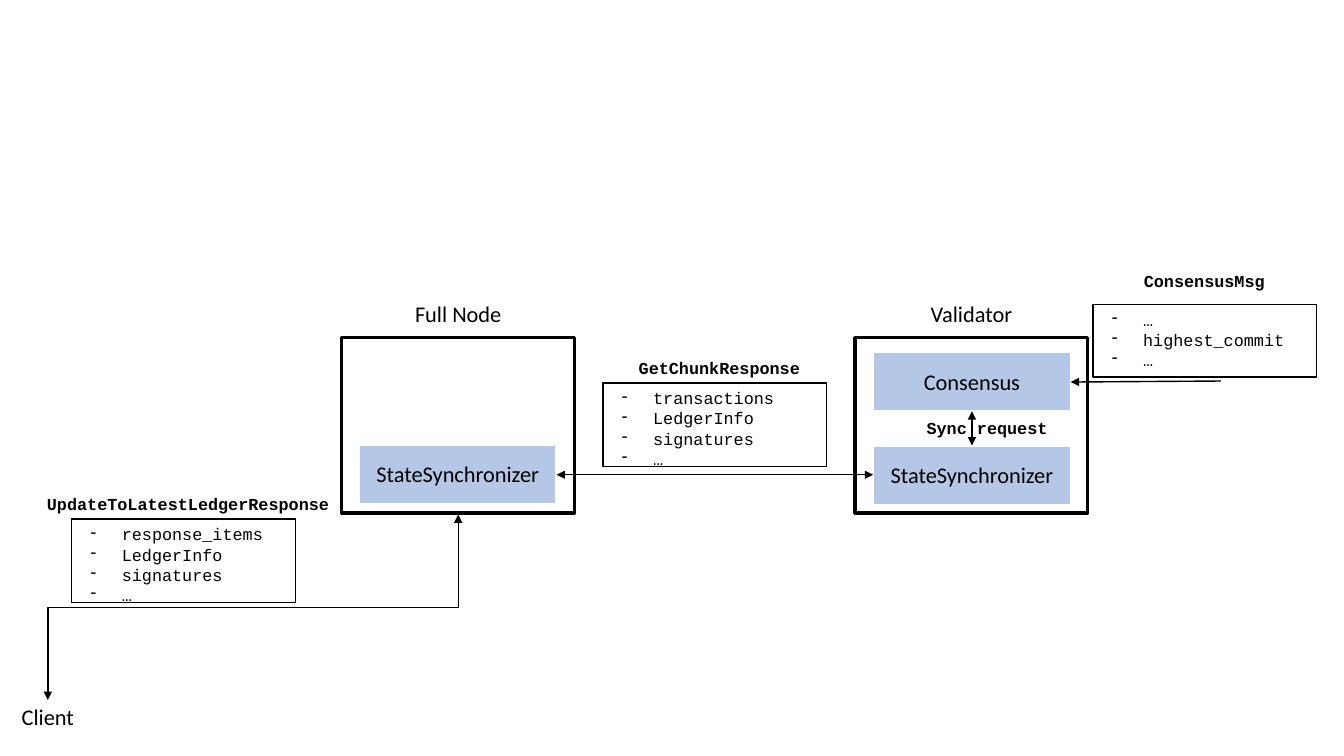
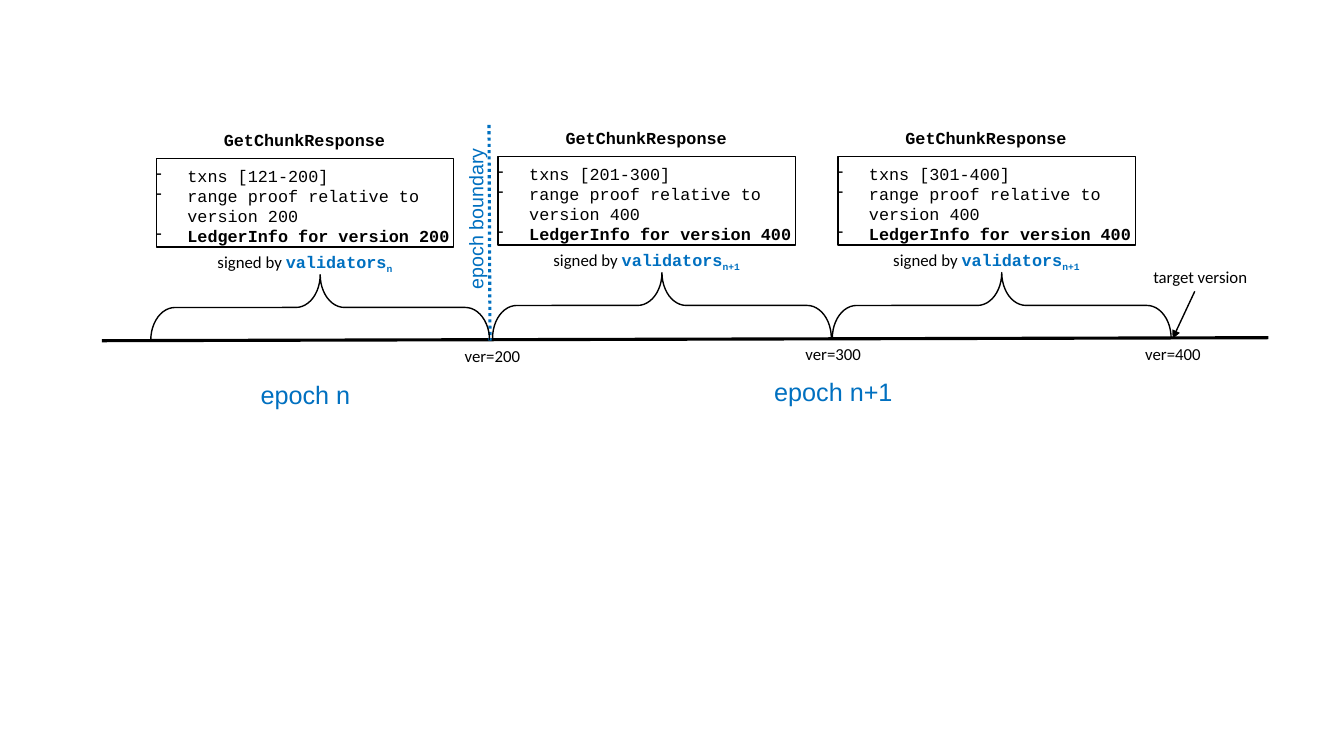
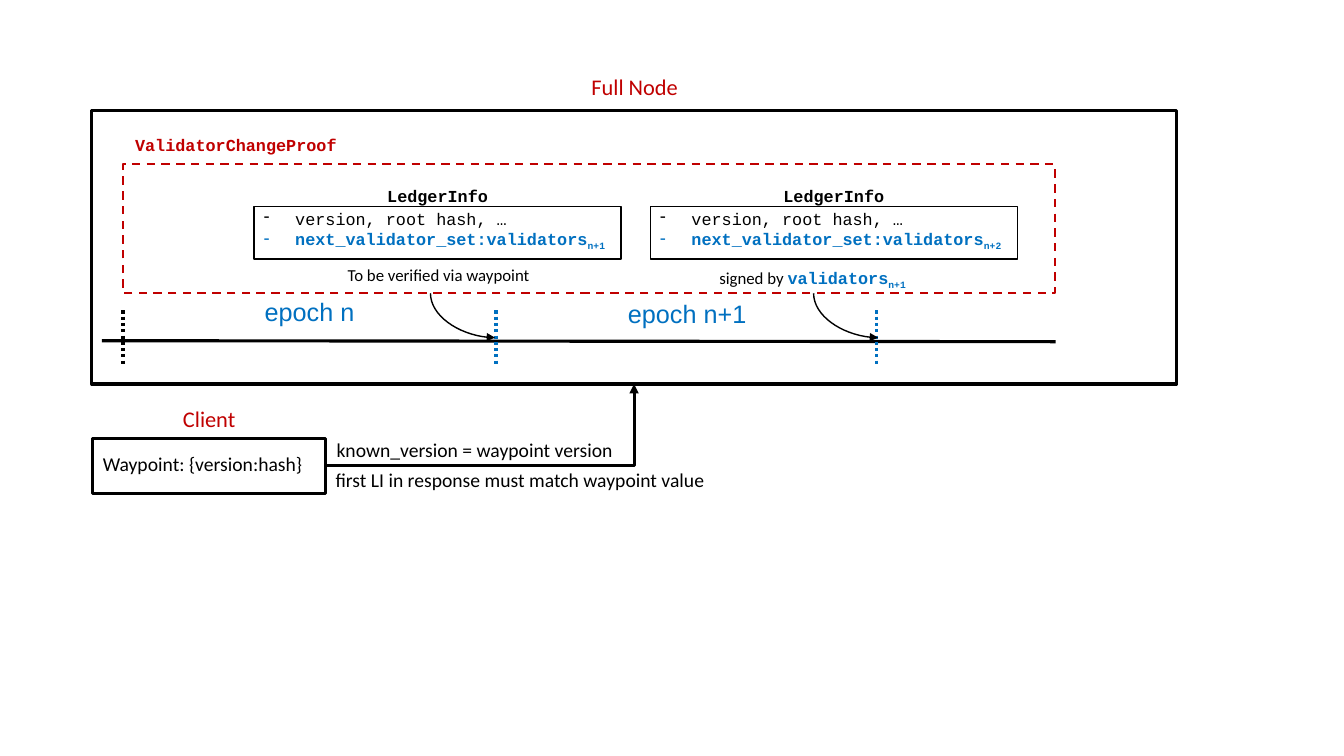
from dataclasses import dataclass
from typing import Any, Optional, Union

from lxml import etree
from pptx import Presentation
from pptx import util as u
from pptx.dml.color import RGBColor
from pptx.enum import dml, shapes as kinds, text as t
from pptx.oxml import ns

# Shared colours, fonts and text styles
BLACK = RGBColor(0x00, 0x00, 0x00)
WHITE = RGBColor(0xFF, 0xFF, 0xFF)
BLUE = RGBColor(0x00, 0x70, 0xC0)
PALE_BLUE = RGBColor(0xB4, 0xC7, 0xE7)
RED = RGBColor(0xC0, 0x00, 0x00)
SANS, CODE, EPOCH_FONT = "Calibri", "Courier New", "Arial"
THIN, THICK = 1, 2.25
DOTS = dml.MSO_LINE.ROUND_DOT
LEFT, CENTER = t.PP_ALIGN.LEFT, t.PP_ALIGN.CENTER
NODE = dict(size=16)
NOTE = dict(size=14, align=LEFT)
CODE_TITLE = dict(font=CODE, bold=True)
EPOCH = dict(size=18, font=EPOCH_FONT, color=BLUE)


@dataclass(frozen=True)
class Rect:
    left: float
    top: float
    width: float
    height: float

    def lengths(self) -> list[u.Length]:
        return [u.Inches(v) for v in (self.left, self.top, self.width, self.height)]


@dataclass(frozen=True)
class Span:
    """A stretch of text; unset fields follow the whole text box."""
    text: str
    font: Optional[str] = None
    color: Optional[RGBColor] = None
    bold: Optional[bool] = None
    lowered: bool = False


@dataclass(frozen=True)
class Message:
    name: str
    title: Rect
    frame: Rect
    fields: list[str]


@dataclass(frozen=True)
class Chunk:
    left: float
    top: float
    versions: str
    proof: int
    epoch: str


@dataclass(frozen=True)
class Ledger:
    left: float
    epoch: str


Point = tuple[float, float]
Line = Union[str, list[Span]]


# Drawing functions
def write(shapes: Any, at: Rect, *lines: Line, size: float = 12, font: str = SANS,
          color: RGBColor = BLACK, bold: bool = False, align: Any = CENTER,
          wrap: bool = False, dashes: bool = False, rotation: float = 0) -> None:
    box = shapes.add_textbox(*at.lengths())
    box.rotation = rotation
    frame = box.text_frame
    frame.word_wrap = wrap
    frame.auto_size = t.MSO_AUTO_SIZE.SHAPE_TO_FIT_TEXT
    for index, line in enumerate(lines):
        para = frame.add_paragraph() if index else frame.paragraphs[0]
        para.alignment = align
        if dashes:
            props = para._p.get_or_add_pPr()
            props.set("marL", str(u.Inches(0.31)))
            props.set("indent", str(u.Inches(-0.31)))
            etree.SubElement(props, ns.qn("a:buChar")).set("char", "-")
        for span in [Span(line)] if isinstance(line, str) else line:
            run = para.add_run()
            run.text = span.text
            run.font.size = u.Pt(size)
            run.font.name = span.font or font
            run.font.color.rgb = span.color or color
            run.font.bold = bold if span.bold is None else span.bold
            if span.lowered:
                run._r.get_or_add_rPr().set("baseline", "-25000")


def bullets(shapes: Any, at: Rect, *lines: Line) -> None:
    write(shapes, at, *lines, font=CODE, align=LEFT, wrap=True, dashes=True)


def outline(shapes: Any, at: Rect, width: float = THIN, color: RGBColor = BLACK,
            fill: Optional[RGBColor] = None, kind: Any = kinds.MSO_SHAPE.RECTANGLE) -> Any:
    shape = shapes.add_shape(kind, *at.lengths())
    shape.shadow.inherit = False
    if fill is None:
        shape.fill.background()
    else:
        shape.fill.solid()
        shape.fill.fore_color.rgb = fill
    shape.line.color.rgb = color
    shape.line.width = u.Pt(width)
    return shape


def connect(shapes: Any, start: Point, end: Point, width: float = THIN,
            color: RGBColor = BLACK, dash: Any = None, head: bool = False,
            tail: bool = False, preset: str = "line", rotation: int = 0) -> None:
    line = shapes.add_connector(kinds.MSO_CONNECTOR.STRAIGHT,
                                *(u.Inches(v) for v in (*start, *end)))
    line.line.color.rgb = color
    line.line.width = u.Pt(width)
    if dash is not None:
        line.line.dash_style = dash
    props = line.element.spPr
    props.find(ns.qn("a:prstGeom")).set("prst", preset)
    if rotation:
        props.find(ns.qn("a:xfrm")).set("rot", str(rotation * 60000))
    for tag, wanted in (("a:headEnd", head), ("a:tailEnd", tail)):
        if wanted:
            etree.SubElement(props.find(ns.qn("a:ln")), ns.qn(tag)).set("type", "triangle")
    etree.SubElement(props, ns.qn("a:effectLst"))


def component(shapes: Any, left: float, top: float, name: str, name_width: float) -> None:
    group = shapes.add_group_shape().shapes
    outline(group, Rect(left, top, 1.96, 0.59), 1.5, WHITE, PALE_BLUE)
    write(group, Rect(left + (1.96 - name_width) / 2, top + 0.11, name_width, 0.37),
          name, **NODE)


def validators(epoch: str, prefix: str = "validators") -> list[Span]:
    return [Span(prefix, CODE, BLUE, True), Span(epoch, CODE, BLUE, True, lowered=True)]


def signature(shapes: Any, center: float, top: float, epoch: str) -> None:
    write(shapes, Rect(center - 1.05, top, 2.1, 0.3),
          [Span("signed by "), *validators(epoch)])


def draw_message(shapes: Any, message: Message) -> None:
    frame = message.frame
    write(shapes, message.title, message.name, **CODE_TITLE)
    outline(shapes, frame)
    bullets(shapes, Rect(frame.left + 0.09, frame.top, 2.13, frame.height + 0.08),
            *message.fields)


def draw_chunk(shapes: Any, chunk: Chunk) -> None:
    left, top = chunk.left, chunk.top
    center = left + 2.95 / 2
    write(shapes, Rect(center - 0.92, top - 0.33, 1.83, 0.3), "GetChunkResponse", **CODE_TITLE)
    outline(shapes, Rect(left, top, 2.95, 0.88))
    bullets(shapes, Rect(left - 0.1, top + 0.02, 3.21, 0.91),
            f"txns [{chunk.versions}]",
            f"range proof relative to version {chunk.proof}",
            [Span(f"LedgerInfo for version {chunk.proof}", bold=True)])
    signature(shapes, center, top + 0.88, chunk.epoch)
    brace = outline(shapes, Rect(left + 1.3, top - 0.2, 0.65, 3.36),
                    kind=kinds.MSO_SHAPE.LEFT_BRACE)
    brace.rotation = 90
    brace.adjustments[0] = 0.37
    brace.adjustments[1] = 0.5


def draw_ledger(shapes: Any, ledger: Ledger) -> None:
    left = ledger.left
    write(shapes, Rect(left + 1.21, 1.79, 1.22, 0.3), "LedgerInfo", **CODE_TITLE)
    outline(shapes, Rect(left, 2.05, 3.64, 0.52))
    bullets(shapes, Rect(left, 2.02, 3.64, 0.5), "version, root hash, …",
            validators(ledger.epoch, "next_validator_set:validators"))


deck = Presentation()
deck.slide_width, deck.slide_height = u.Inches(13.33), u.Inches(7.5)


def new_page() -> Any:
    return deck.slides.add_slide(deck.slide_layouts[6]).shapes


# Slide 1: messages between client, full node and validator
page = new_page()
for node_left, node_name in ((3.39, "Full Node"), (8.48, "Validator")):
    outline(page, Rect(node_left, 3.35, 2.31, 1.74), THICK)
    write(page, Rect(node_left + 0.62, 2.93, 1.07, 0.37), node_name, **NODE)
component(page, 3.56, 4.41, "StateSynchronizer", 1.84)
component(page, 8.66, 4.42, "StateSynchronizer", 1.84)
component(page, 8.66, 3.49, "Consensus", 1.17)
write(page, Rect(0.11, 6.93, 0.73, 0.37), "Client", **NODE)

for item in (
    Message("UpdateToLatestLedgerResponse", Rect(0.34, 4.85, 3.05, 0.3),
            Rect(0.71, 5.15, 2.22, 0.83), ["response_items", "LedgerInfo", "signatures", "…"]),
    Message("GetChunkResponse", Rect(6.22, 3.5, 1.83, 0.3),
            Rect(5.98, 3.8, 2.22, 0.83), ["transactions", "LedgerInfo", "signatures", "…"]),
    Message("ConsensusMsg", Rect(11.21, 2.64, 1.47, 0.3),
            Rect(10.84, 3.02, 2.22, 0.72), ["…", "highest_commit", "…"]),
):
    draw_message(page, item)

connect(page, (3.43, 8.06), (1.59, 3.99), head=True, tail=True,
        preset="bentConnector3", rotation=90)
connect(page, (5.52, 4.71), (8.66, 4.71), head=True, tail=True)
connect(page, (9.64, 4.08), (9.64, 4.42), head=True, tail=True)
connect(page, (12.11, 3.78), (10.62, 3.79), tail=True)
write(page, Rect(8.87, 4.1, 1.84, 0.3), "Sync request", wrap=True, **CODE_TITLE)

# Slide 2: chunks along the version line
page = new_page()
connect(page, (1.01, 3.38), (12.58, 3.35), THICK)
connect(page, (4.85, 1.24), (4.86, 3.38), THICK, BLUE, DOTS)
for part in (Chunk(1.55, 1.57, "121-200", 200, "n"),
             Chunk(4.94, 1.55, "201-300", 400, "n+1"),
             Chunk(8.31, 1.55, "301-400", 400, "n+1")):
    draw_chunk(page, part)
for version, left, top in ((200, 4.51, 3.38), (300, 7.89, 3.36), (400, 11.26, 3.36)):
    write(page, Rect(left, top, 0.76, 0.3), f"ver={version}", align=LEFT)
write(page, Rect(2.48, 3.71, 1.1, 0.4), "epoch n", **EPOCH)
write(page, Rect(7.57, 3.68, 1.39, 0.4), "epoch n+1", **EPOCH)
write(page, Rect(3.92, 2, 1.6, 0.34), "epoch boundary", size=14, font=EPOCH_FONT,
      color=BLUE, align=LEFT, rotation=270)
write(page, Rect(11.34, 2.6, 1.14, 0.3), "target version", align=LEFT)
connect(page, (11.85, 2.89), (11.63, 3.36), tail=True)

# Slide 3: full node with its proof of validator changes
page = new_page()
outline(page, Rect(0.91, 1.1, 10.76, 2.71), THICK)
write(page, Rect(5.76, 0.68, 1.07, 0.37), "Full Node", color=RED, **NODE)
proof = outline(page, Rect(1.22, 1.63, 9.24, 1.28), 1.5, RED)
proof.line.dash_style = dml.MSO_LINE.DASH
write(page, Rect(1.22, 1.29, 2.24, 0.3), "ValidatorChangeProof", color=RED, **CODE_TITLE)
for entry in (Ledger(2.52, "n+1"), Ledger(6.45, "n+2")):
    draw_ledger(page, entry)
write(page, Rect(3.34, 2.58, 2.02, 0.3), "To be verified via waypoint")
signature(page, 8.06, 2.61, "n+1")

# Epoch line with its boundaries
connect(page, (1.01, 3.38), (10.47, 3.39), THICK)
for x, tick_color in ((1.22, BLACK), (4.92, BLUE), (8.69, BLUE)):
    connect(page, (x, 3.08), (x, 3.62), THICK, tick_color, DOTS)
for x in (4.37, 8.17):
    connect(page, (x + 0.44, 2.81), (x, 3.45), tail=True,
            preset="curvedConnector2", rotation=270)
write(page, Rect(2.52, 2.89, 1.1, 0.4), "epoch n", **EPOCH)
write(page, Rect(6.12, 2.91, 1.39, 0.4), "epoch n+1", **EPOCH)

# Client and its request
outline(page, Rect(0.92, 4.35, 2.31, 0.55), THICK)
write(page, Rect(1.71, 3.97, 0.73, 0.37), "Client", color=RED, **NODE)
write(page, Rect(0.91, 4.43, 2.2, 0.34), "Waypoint: {version:hash}", size=14)
write(page, Rect(3.24, 4.3, 2.97, 0.34), "known_version = waypoint version", **NOTE)
write(page, Rect(3.23, 4.59, 3.9, 0.34),
      "first LI in response must match waypoint value", **NOTE)
connect(page, (3.23, 4.62), (6.29, 3.81), THICK, tail=True, preset="bentConnector2")

deck.save("out.pptx")
